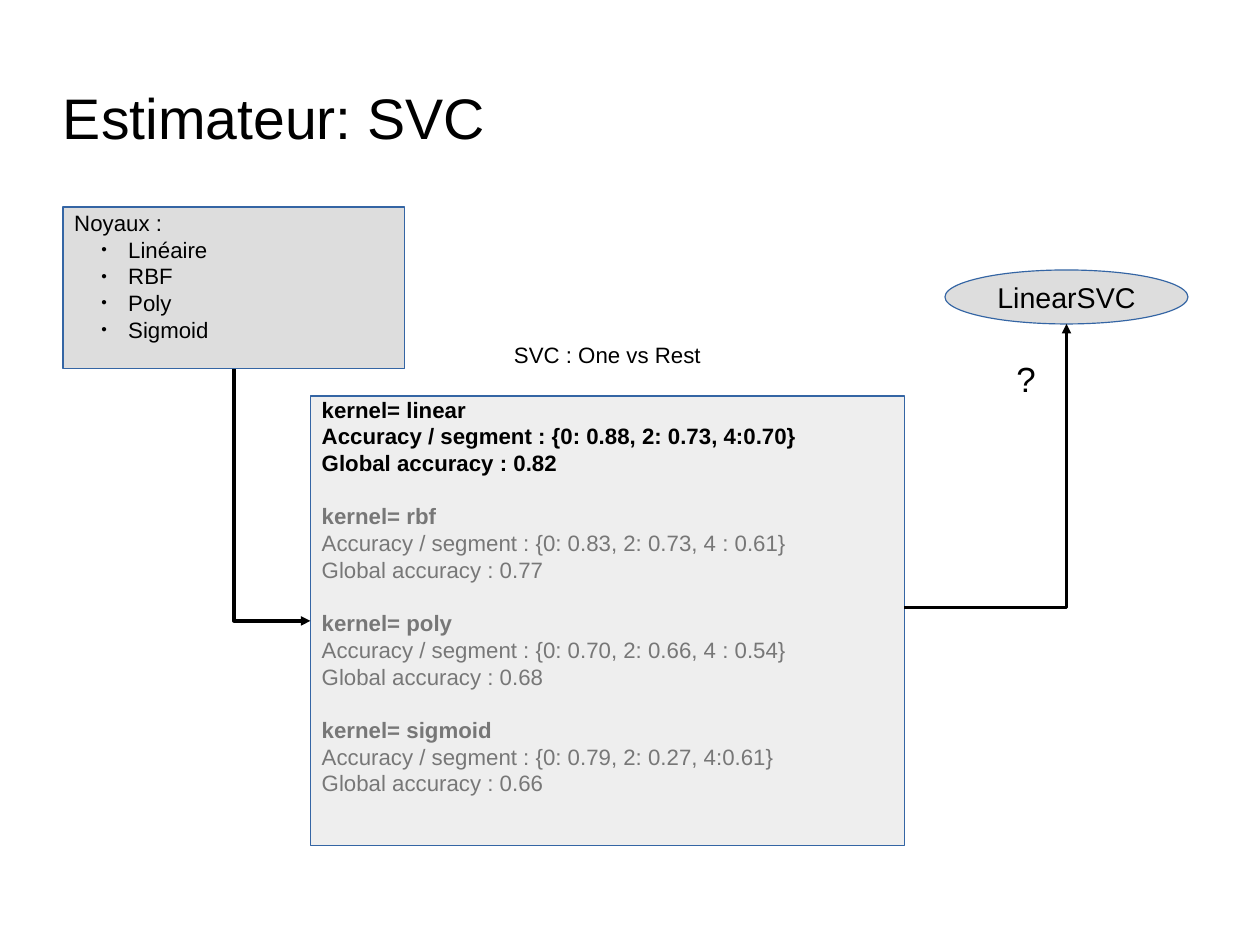
from dataclasses import dataclass

from lxml import etree
from pptx import Presentation
from pptx.dml.color import RGBColor
from pptx.enum.shapes import MSO_CONNECTOR, MSO_SHAPE
from pptx.enum.text import MSO_ANCHOR, PP_ALIGN
from pptx.oxml.ns import qn
from pptx.util import Cm, Pt

RECTANGLE, ELLIPSE = MSO_SHAPE.RECTANGLE, MSO_SHAPE.OVAL
ELBOW = MSO_CONNECTOR.ELBOW
TOP, MIDDLE, BOTTOM = MSO_ANCHOR.TOP, MSO_ANCHOR.MIDDLE, MSO_ANCHOR.BOTTOM
LEFT, CENTER = PP_ALIGN.LEFT, PP_ALIGN.CENTER

COLORS = {"text": "000000", "box": "DDDDDD", "panel": "EEEEEE", "border": "3465A4"}
FONT = "Arial"
LINE_PITCH = Pt(16.8)
SITE_LEFT, SITE_BOTTOM, SITE_ELLIPSE_BOTTOM = 1, 2, 4


@dataclass
class Area:
    left: float
    top: float
    width: float
    height: float

    def lengths(self) -> list:
        return [Cm(n) for n in (self.left, self.top, self.width, self.height)]


@dataclass
class Label:
    text: str
    area: Area
    size: int
    anchor: MSO_ANCHOR
    alignment: PP_ALIGN = CENTER


@dataclass
class KernelResult:
    kernel: str
    segments: str
    accuracy: str
    best: bool = False


LABELS = [
    Label("Estimateur: SVC", Area(1.4, 1.6, 23.6, 2), 36, MIDDLE, LEFT),
    Label("SVC : One vs Rest", Area(6.9, 7.57, 13.2, 0.6), 14, MIDDLE),
    Label("?", Area(22, 7.87, 1.6, 1), 22, BOTTOM),
]
KERNELS = ["Linéaire", "RBF", "Poly", "Sigmoid"]
RESULTS = [
    KernelResult("linear", "{0: 0.88, 2: 0.73, 4:0.70}", "0.82", best=True),
    KernelResult("rbf", "{0: 0.83, 2: 0.73, 4 : 0.61}", "0.77"),
    KernelResult("poly", "{0: 0.70, 2: 0.66, 4 : 0.54}", "0.68"),
    KernelResult("sigmoid", "{0: 0.79, 2: 0.27, 4:0.61}", "0.66"),
]
VEIL = Area(7, 11.1, 12.8, 2.2)


def rgb(name: str) -> RGBColor:
    return RGBColor.from_string(COLORS[name])


def set_frame(shape, anchor: MSO_ANCHOR, inset_x: float = 0, inset_y: float = 0) -> None:
    frame = shape.text_frame
    frame.word_wrap = True
    frame.vertical_anchor = anchor
    frame.margin_left = frame.margin_right = Cm(inset_x)
    frame.margin_top = frame.margin_bottom = Cm(inset_y)


def add_run(paragraph, text: str, size: int, bold: bool = False) -> None:
    run = paragraph.add_run()
    run.text = text
    run.font.name = FONT
    run.font.size = Pt(size)
    run.font.bold = bold
    run.font.color.rgb = rgb("text")


def add_lines(shape, lines: list) -> list:
    """Write (text, bold) lines from the left and return their paragraphs."""
    frame = shape.text_frame
    paragraphs = []
    for text, bold in lines:
        paragraph = frame.add_paragraph() if paragraphs else frame.paragraphs[0]
        paragraph.alignment = LEFT
        paragraph.line_spacing = LINE_PITCH
        add_run(paragraph, text, 14, bold)
        paragraphs.append(paragraph)
    return paragraphs


def add_label(slide, label: Label) -> None:
    shape = slide.shapes.add_textbox(*label.area.lengths())
    set_frame(shape, label.anchor)
    paragraph = shape.text_frame.paragraphs[0]
    paragraph.alignment = label.alignment
    add_run(paragraph, label.text, label.size)


def add_box(slide, kind: MSO_SHAPE, area: Area, fill: str, border: str):
    shape = slide.shapes.add_shape(kind, *area.lengths())
    shape.shadow.inherit = False
    shape.fill.solid()
    shape.fill.fore_color.rgb = rgb(fill)
    shape.line.color.rgb = rgb(border)
    shape.line.width = Pt(0)
    return shape


def add_bullet(paragraph) -> None:
    properties = paragraph._p.get_or_add_pPr()
    properties.set("lvl", "1")
    properties.set("marL", str(Cm(1.2)))
    properties.set("indent", str(Cm(-0.6)))
    etree.SubElement(properties, qn("a:buSzPct"), val="45000")
    etree.SubElement(properties, qn("a:buFont"), typeface=FONT)
    etree.SubElement(properties, qn("a:buChar"), char="●")


def add_elbow(slide, begin: tuple, end: tuple, arrow_end: str):
    """Draw a one-bend connector that leaves its beginning horizontally."""
    connector = slide.shapes.add_connector(ELBOW, *[Cm(n) for n in begin + end])
    connector.line.color.rgb = rgb("text")
    connector.line.width = Pt(0)
    properties = connector._element.spPr
    properties.find(qn("a:prstGeom")).set("prst", "bentConnector2")
    etree.SubElement(properties.find(qn("a:ln")), qn(arrow_end), type="triangle")
    etree.SubElement(properties, qn("a:effectLst"))
    return connector


def add_veil(slide, area: Area) -> None:
    shape = add_box(slide, RECTANGLE, area, "panel", "panel")
    color = shape._element.spPr.find(qn("a:solidFill"))[0]
    etree.SubElement(color, qn("a:alpha"), val="50000")


def main() -> None:
    presentation = Presentation()
    presentation.slide_width, presentation.slide_height = Cm(28), Cm(21)
    slide = presentation.slides.add_slide(presentation.slide_layouts[6])

    # Title, caption and question mark
    for label in LABELS:
        add_label(slide, label)

    # Kernel list
    kernel_box = add_box(slide, RECTANGLE, Area(1.4, 4.6, 7.6, 3.6), "box", "border")
    set_frame(kernel_box, TOP, 0.25, 0.05)
    lines = [(text, False) for text in ["Noyaux :", *KERNELS]]
    for paragraph in add_lines(kernel_box, lines)[1:]:
        add_bullet(paragraph)

    # Results for each kernel
    panel = add_box(slide, RECTANGLE, Area(6.9, 8.8, 13.2, 10), "panel", "border")
    set_frame(panel, TOP, 0.25)
    lines = []
    for result in RESULTS:
        lines += [
            (f"kernel= {result.kernel}", True),
            (f"Accuracy / segment : {result.segments}", result.best),
            (f"Global accuracy : {result.accuracy}", result.best),
        ]
    for paragraph in add_lines(panel, lines)[3::3]:
        paragraph.space_before = LINE_PITCH

    # Veils that dim the weaker kernels
    weaker = [result for result in RESULTS if not result.best]
    for row in range(len(weaker)):
        top = VEIL.top + row * VEIL.height
        add_veil(slide, Area(VEIL.left, top, VEIL.width, VEIL.height))

    # Chosen estimator
    estimator = add_box(slide, ELLIPSE, Area(21, 6, 5.4, 1.2), "box", "border")
    set_frame(estimator, MIDDLE, 0.25, 0.13)
    paragraph = estimator.text_frame.paragraphs[0]
    paragraph.alignment = CENTER
    add_run(paragraph, "LinearSVC", 18)

    # Arrows
    to_panel = add_elbow(slide, (6.9, 13.8), (5.2, 8.2), "a:headEnd")
    to_panel.begin_connect(panel, SITE_LEFT)
    to_panel.end_connect(kernel_box, SITE_BOTTOM)
    to_estimator = add_elbow(slide, (20.1, 13.5), (23.7, 7.2), "a:tailEnd")
    to_estimator._connect_end_to(estimator, SITE_ELLIPSE_BOTTOM)

    presentation.save("out.pptx")


if __name__ == "__main__":
    main()
